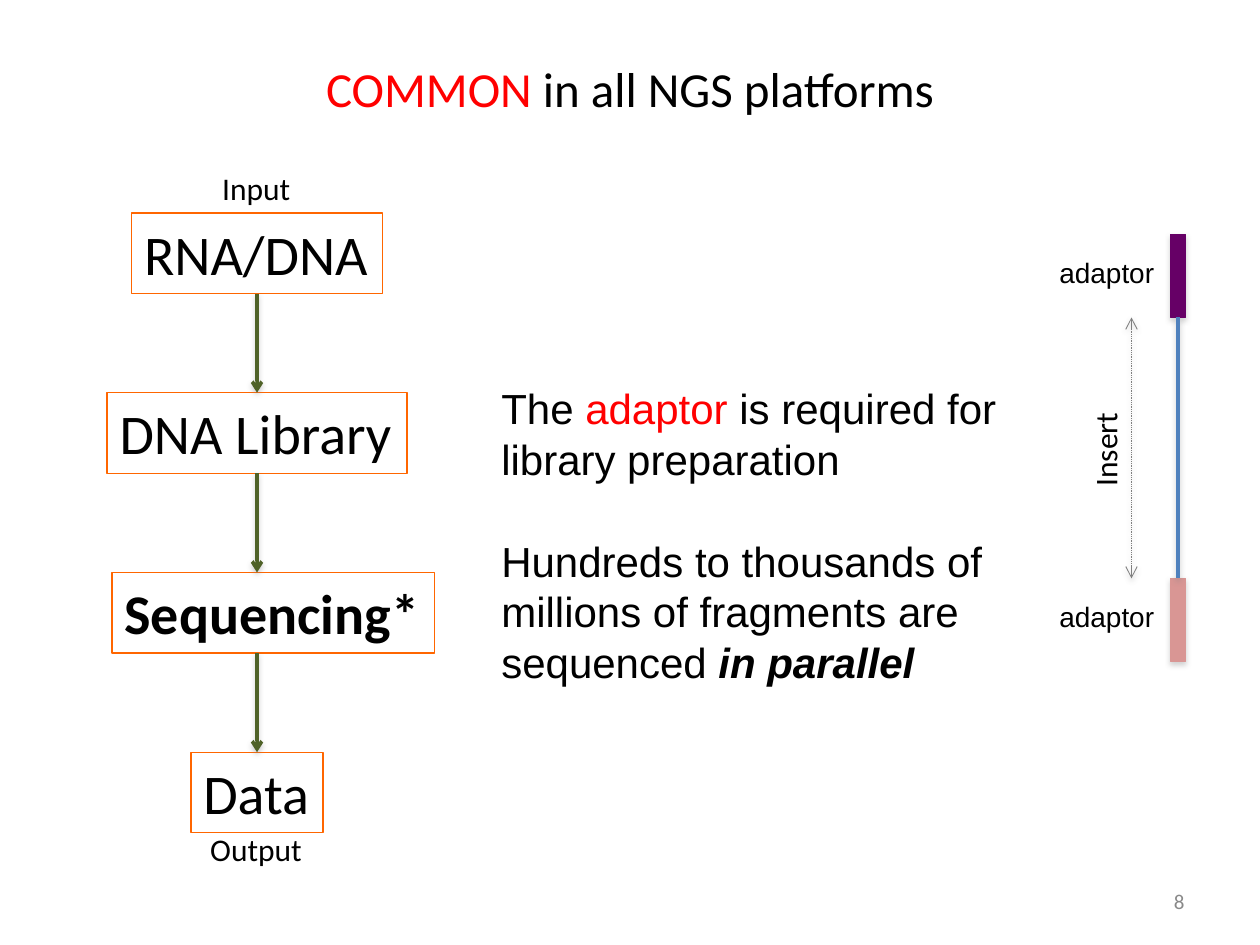
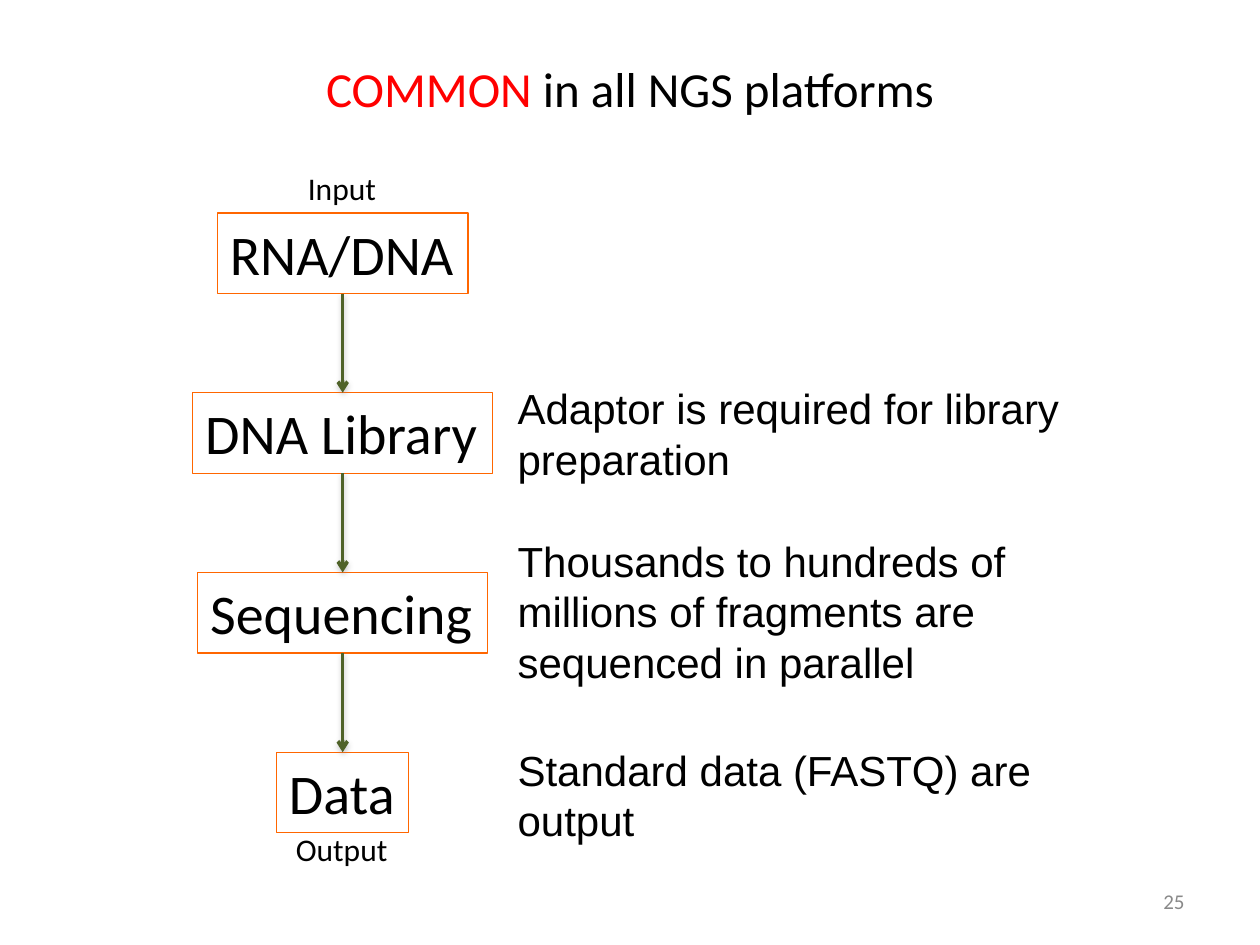
from lxml.etree import SubElement
from pptx import Presentation
from pptx.dml.color import RGBColor
from pptx.enum.dml import MSO_LINE
from pptx.enum.shapes import MSO_CONNECTOR, MSO_SHAPE
from pptx.enum.text import MSO_ANCHOR, PP_ALIGN
from pptx.oxml.ns import qn
from pptx.util import Inches, Pt

COLORS = {
    "text": "000000",
    "accent": "FF0000",
    "number": "898989",
    "box": "FF6600",
    "arrow": "4F6228",
    "insert": "4F81BD",
    "span": "7F7F7F",
    "adaptor_top": "660066",
    "adaptor_bottom": "D99694",
    "shadow": "808080",
}
STEP_TOP, STEP_BOTTOM, STEP_HEIGHT = 1.69, 5.97, 0.64
SEQUENCING_OFFSET = 1.15


def rgb(name):
    return RGBColor.from_string(COLORS[name])


def add_shadow(effects, alpha, distance):
    shadow = SubElement(effects, qn("a:outerShdw"), blurRad=str(Pt(3.1)),
                        dist=str(Pt(distance)), dir="5400000", rotWithShape="0")
    color = SubElement(shadow, qn("a:srgbClr"), val=COLORS["shadow"])
    SubElement(color, qn("a:alpha"), val=str(alpha * 1000))


def write(sp, runs, size=24, font="Calibri", align=PP_ALIGN.LEFT,
          anchor=MSO_ANCHOR.TOP, wrap=True):
    tf = sp.text_frame
    tf.word_wrap = wrap
    tf.vertical_anchor = anchor
    p = tf.paragraphs[0]
    p.alignment = align
    for text, style in [(runs, {})] if isinstance(runs, str) else runs:
        r = p.add_run()
        r.text = text
        r.font.name = font
        r.font.size = Pt(size)
        r.font.bold = style.get("bold", False)
        r.font.italic = style.get("italic", False)
        r.font.color.rgb = rgb(style.get("color", "text"))


def add_text(s, runs, left, top, width, height, **style):
    sp = s.shapes.add_textbox(Inches(left), Inches(top), Inches(width), Inches(height))
    write(sp, runs, **style)
    return sp


def add_rect(s, left, top, width, height, line, fill=None):
    sp = s.shapes.add_shape(MSO_SHAPE.RECTANGLE, Inches(left), Inches(top),
                            Inches(width), Inches(height))
    sp.shadow.inherit = False
    sp.line.color.rgb = rgb(line)
    sp.line.width = Pt(0.75)
    if fill:
        sp.fill.solid()
        sp.fill.fore_color.rgb = rgb(fill)
        add_shadow(sp._element.spPr.find(qn("a:effectLst")), 35, 1.8)
    else:
        sp.fill.background()
    return sp


def add_line(s, x, top, bottom, color, width=2, ends=(), dash=None):
    line = s.shapes.add_connector(MSO_CONNECTOR.STRAIGHT, Inches(x), Inches(top),
                                  Inches(x), Inches(bottom))
    line.line.color.rgb = rgb(color)
    line.line.width = Pt(width)
    if dash:
        line.line.dash_style = dash
    ln = line.line._get_or_add_ln()
    for end in ends:
        SubElement(ln, qn(f"a:{end}"), type="arrow")
    add_shadow(SubElement(line._element.spPr, qn("a:effectLst")), 38, 1.6)
    return line


def add_frame(prs, number):
    s = prs.slides.add_slide(prs.slide_layouts[6])
    add_text(s, [("COMMON", {"color": "accent"}), (" in all NGS platforms", {})],
             0.5, 0.3, 9, 0.79, size=28, align=PP_ALIGN.CENTER, anchor=MSO_ANCHOR.MIDDLE)
    add_text(s, [(number, {"color": "number"})], 7.17, 6.95, 2.33, 0.4,
             size=12, align=PP_ALIGN.RIGHT, anchor=MSO_ANCHOR.MIDDLE)
    return s


def add_workflow(s, axis, sequencing, sequencing_width, bold):
    steps = [
        ("RNA/DNA", 1.99, 1.99 / 2),
        ("DNA Library", 2.38, 2.38 / 2),
        ([(sequencing, {"bold": bold})], sequencing_width, SEQUENCING_OFFSET),
        ("Data", 1.05, 1.05 / 2),
    ]
    pitch = (STEP_BOTTOM - STEP_TOP) / (len(steps) - 1)
    previous = None
    for i, (label, width, offset) in enumerate(steps):
        top = STEP_TOP + i * pitch
        box = add_rect(s, axis - offset, top, width, STEP_HEIGHT, "box")
        write(box, label, size=32, wrap=False)
        centred = offset == width / 2
        if previous:
            above, above_centred = previous
            arrow = add_line(s, axis, top - pitch + STEP_HEIGHT, top, "arrow",
                             ends=["tailEnd"])
            if above_centred:
                arrow.begin_connect(above, 2)
            if centred:
                arrow.end_connect(box, 0)
        previous = box, centred
    for label, top, width in [("Input", 1.29, 0.75), ("Output", 6.54, 0.94)]:
        add_text(s, label, axis - width / 2, top, width, 0.4, size=18, wrap=False)


def add_notes_column(s, left, notes):
    for runs, top, width, height in notes:
        add_text(s, runs, left, top, width, height, font="Arial")


def add_fragment(s):
    adaptors = []
    for top, color in [(1.86, "adaptor_top"), (4.59, "adaptor_bottom")]:
        adaptors.append(add_rect(s, 9.29, top, 0.12, 0.66, color, fill=color))
        add_text(s, "adaptor", 8.31, top + 0.12, 0.96, 0.37,
                 size=16, font="Arial", wrap=False)
    insert = add_line(s, 9.35, 2.52, 4.59, "insert")
    insert.begin_connect(adaptors[0], 2)
    insert.end_connect(adaptors[1], 0)
    add_line(s, 8.98, 2.52, 4.59, "span", width=0.5,
             ends=["headEnd", "tailEnd"], dash=MSO_LINE.ROUND_DOT)
    label = add_text(s, "Insert", 8.37, 3.36, 0.8, 0.4, size=18, wrap=False)
    label.rotation = 270


def main():
    prs = Presentation()
    prs.slide_width, prs.slide_height = Inches(10), Inches(7.5)

    s = add_frame(prs, "8")
    add_workflow(s, 2.04, "Sequencing*", 2.56, bold=True)
    add_notes_column(s, 3.88, [
        ([("The ", {}), ("adaptor", {"color": "accent"}),
          (" is required for library preparation", {})], 2.99, 4.29, 0.91),
        ([("Hundreds to thousands of millions of fragments are sequenced ", {}),
          ("in parallel", {"bold": True, "italic": True})], 4.2, 4.29, 1.31),
    ])
    add_fragment(s)

    s = add_frame(prs, "25")
    add_workflow(s, 2.72, "Sequencing", 2.3, bold=False)
    add_notes_column(s, 4.01, [
        ("Adaptor is required for library preparation", 2.99, 4.87, 0.91),
        ("Thousands to hundreds of millions of fragments are sequenced in parallel",
         4.2, 4.87, 1.31),
        ("Standard data (FASTQ) are output", 5.86, 5, 0.91),
    ])

    prs.save("out.pptx")


if __name__ == "__main__":
    main()
